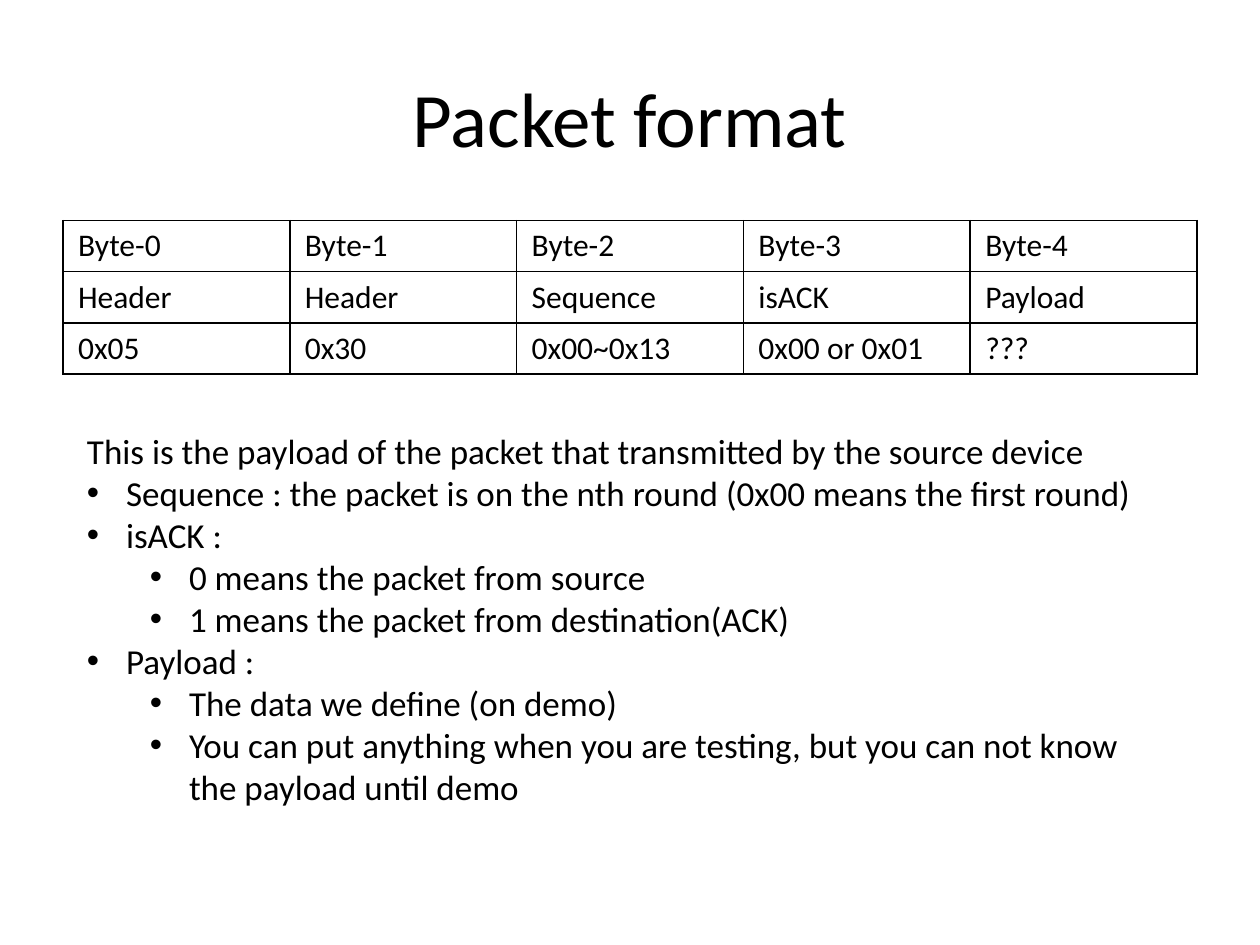
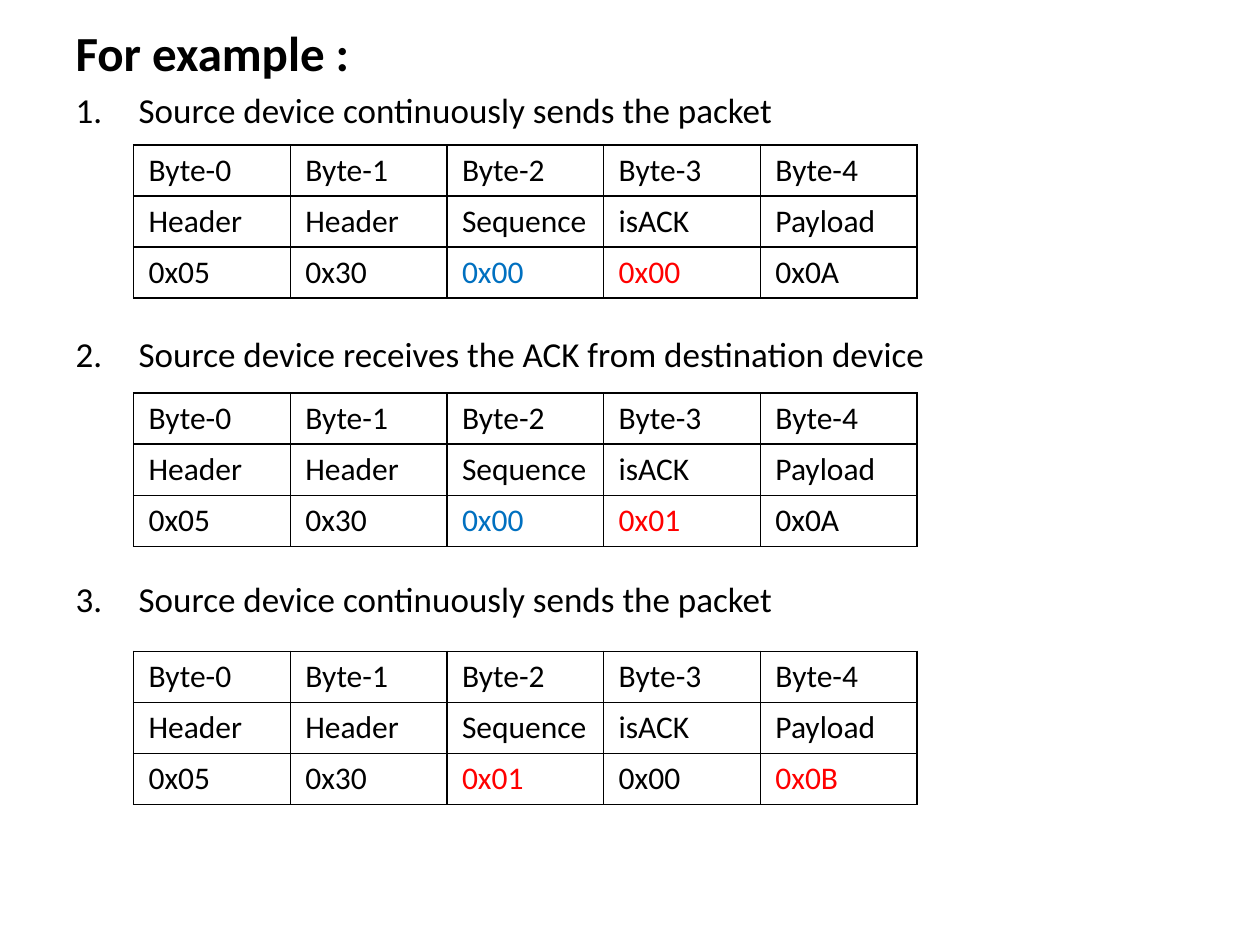
import dataclasses

import lxml.etree
import pptx
import pptx.dml.color
import pptx.enum.text
import pptx.oxml.ns
import pptx.util


@dataclasses.dataclass(frozen=True)
class Theme:
    font: str = "Calibri"
    ink: str = "000000"
    sent: str = "0070C0"
    changed: str = "FF0000"
    title_size: int = 44
    heading_size: int = 28
    list_size: int = 20
    table_size: int = 18
    border_width: int = 1


THEME = Theme()
COLUMNS, ROWS = 100, 75  # slide grid
LIST_INDENT, SUBLIST_INDENT, LIST_HANG = 3.1, 8.1, 3.1  # grid columns
NUMBER_INDENT = 5
STEP_GAP = 115.6  # points left free for a table between numbered steps
CELL_MARGINS = (1.2, 0.5)  # grid columns, rows
FIELD_ROWS = [
    [f"Byte-{index}" for index in range(5)],
    ["Header", "Header", "Sequence", "isACK", "Payload"],
]

deck = pptx.Presentation()
deck.slide_width = pptx.util.Inches(10)
deck.slide_height = pptx.util.Inches(7.5)


# Grid and text helpers
def across(columns):
    return round(deck.slide_width * columns / COLUMNS)


def down(rows):
    return round(deck.slide_height * rows / ROWS)


def place(shape, box):
    column, row, columns, rows = box
    shape.left, shape.top = across(column), down(row)
    shape.width, shape.height = across(columns), down(rows)


def add_child(parent, tag, **attributes):
    return lxml.etree.SubElement(parent, pptx.oxml.ns.qn(tag), attributes)


def add_text(frame, text, size=THEME.list_size, color=THEME.ink, bold=False,
             align=None, level=0, before=None, marker=None, indent=0, hang=0):
    """Write one paragraph; marker is None, "none", "number" or a bullet."""
    first = frame.paragraphs[0]
    paragraph = frame.add_paragraph() if first.runs else first
    paragraph.level = level
    if align is not None:
        paragraph.alignment = align
    if before is not None:
        paragraph.space_before = pptx.util.Pt(before)
    if marker:
        properties = paragraph._p.get_or_add_pPr()
        properties.set("marL", str(across(indent)))
        properties.set("indent", str(-across(hang)))
        if marker == "none":
            add_child(properties, "a:buNone")
        elif marker == "number":
            add_child(properties, "a:buFont", typeface="+mj-lt")
            add_child(properties, "a:buAutoNum", type="arabicPeriod")
        else:
            add_child(properties, "a:buFont", typeface="Arial")
            add_child(properties, "a:buChar", char=marker)
    run = paragraph.add_run()
    run.text = text
    run.font.name = THEME.font
    run.font.size = pptx.util.Pt(size)
    run.font.bold = bold
    run.font.color.rgb = pptx.dml.color.RGBColor.from_string(color)


# Regions
def place_title(slide, box, text):
    place(slide.shapes.title, box)
    add_text(slide.shapes.title.text_frame, text, size=THEME.title_size,
             align=pptx.enum.text.PP_ALIGN.CENTER)


def place_body(slide, box):
    body = slide.placeholders[1]
    place(body, box)
    body.text_frame.word_wrap = True
    body.text_frame.auto_size = pptx.enum.text.MSO_AUTO_SIZE.NONE
    return body.text_frame


def place_field_list(slide, box, intro, items):
    frame = place_body(slide, box)
    add_text(frame, intro, before=0, marker="none")
    for level, item in items:
        add_text(frame, item, before=0, level=level, marker="•",
                 indent=SUBLIST_INDENT if level else LIST_INDENT,
                 hang=LIST_HANG)


def place_steps(slide, box, heading, steps):
    frame = place_body(slide, box)
    add_text(frame, heading, size=THEME.heading_size, bold=True, marker="none")
    for index, step in enumerate(steps):
        add_text(frame, step, before=STEP_GAP if index else None,
                 marker="number", indent=NUMBER_INDENT, hang=NUMBER_INDENT)


def draw_borders(cell):
    properties = cell._tc.get_or_add_tcPr()
    for index, side in enumerate(("a:lnL", "a:lnR", "a:lnT", "a:lnB")):
        line = add_child(properties, side,
                         w=str(pptx.util.Pt(THEME.border_width)))
        add_child(add_child(line, "a:solidFill"), "a:srgbClr", val=THEME.ink)
        properties.insert(index, line)  # borders come before the fill


def place_packet(slide, box, values, colors=None):
    """Draw a packet table; colors maps a byte's index to its colour."""
    column, row, columns, rows = box
    contents = FIELD_ROWS + [values]
    table = slide.shapes.add_table(
        len(contents), len(values), across(column), down(row),
        across(columns), down(rows)).table
    table.first_row = table.horz_banding = False
    for row_index, texts in enumerate(contents):
        row_colors = (colors or {}) if texts is values else {}
        for byte, text in enumerate(texts):
            cell = table.cell(row_index, byte)
            cell.fill.background()
            cell.margin_left = cell.margin_right = across(CELL_MARGINS[0])
            cell.margin_top = cell.margin_bottom = down(CELL_MARGINS[1])
            draw_borders(cell)
            add_text(cell.text_frame, text, size=THEME.table_size,
                     color=row_colors.get(byte, THEME.ink))


# Slides
def build_format_slide(slide):
    place_title(slide, (5, 3, 90, 12.5), "Packet format")
    place_packet(slide, (5, 17.5, 90, 12.2),
                 ["0x05", "0x30", "0x00~0x13", "0x00 or 0x01", "???"])
    place_field_list(
        slide, (5.9, 33.6, 85.8, 34.3),
        "This is the payload of the packet that transmitted by the source device",
        [
            (0, "Sequence : the packet is on the nth round "
                "(0x00 means the first round)"),
            (0, "isACK :"),
            (1, "0 means the packet from source"),
            (1, "1 means the packet from destination(ACK)"),
            (0, "Payload :"),
            (1, "The data we define (on demo)"),
            (1, "You can put anything when you are testing, "
                "but you can not know the payload until demo"),
        ])


def build_example_slide(slide):
    title = slide.shapes.title.element
    title.getparent().remove(title)
    sending = "Source device continuously sends the packet"
    receiving = "Source device receives the ACK from destination device"
    place_steps(slide, (5, 1.3, 90, 65.7), "For example :",
                [sending, receiving, sending])
    acknowledged = {2: THEME.sent, 3: THEME.changed}
    next_round = {2: THEME.changed, 4: THEME.changed}
    packets = [
        (11.5, ["0x00", "0x00", "0x0A"], acknowledged),
        (31.2, ["0x00", "0x01", "0x0A"], acknowledged),
        (51.7, ["0x01", "0x00", "0x0B"], next_round),
    ]
    for top, values, colors in packets:
        place_packet(slide, (10.6, top, 62.2, 12),
                     ["0x05", "0x30"] + values, colors)


title_and_content = deck.slide_layouts[1]
for build in (build_format_slide, build_example_slide):
    build(deck.slides.add_slide(title_and_content))
deck.save("out.pptx")
